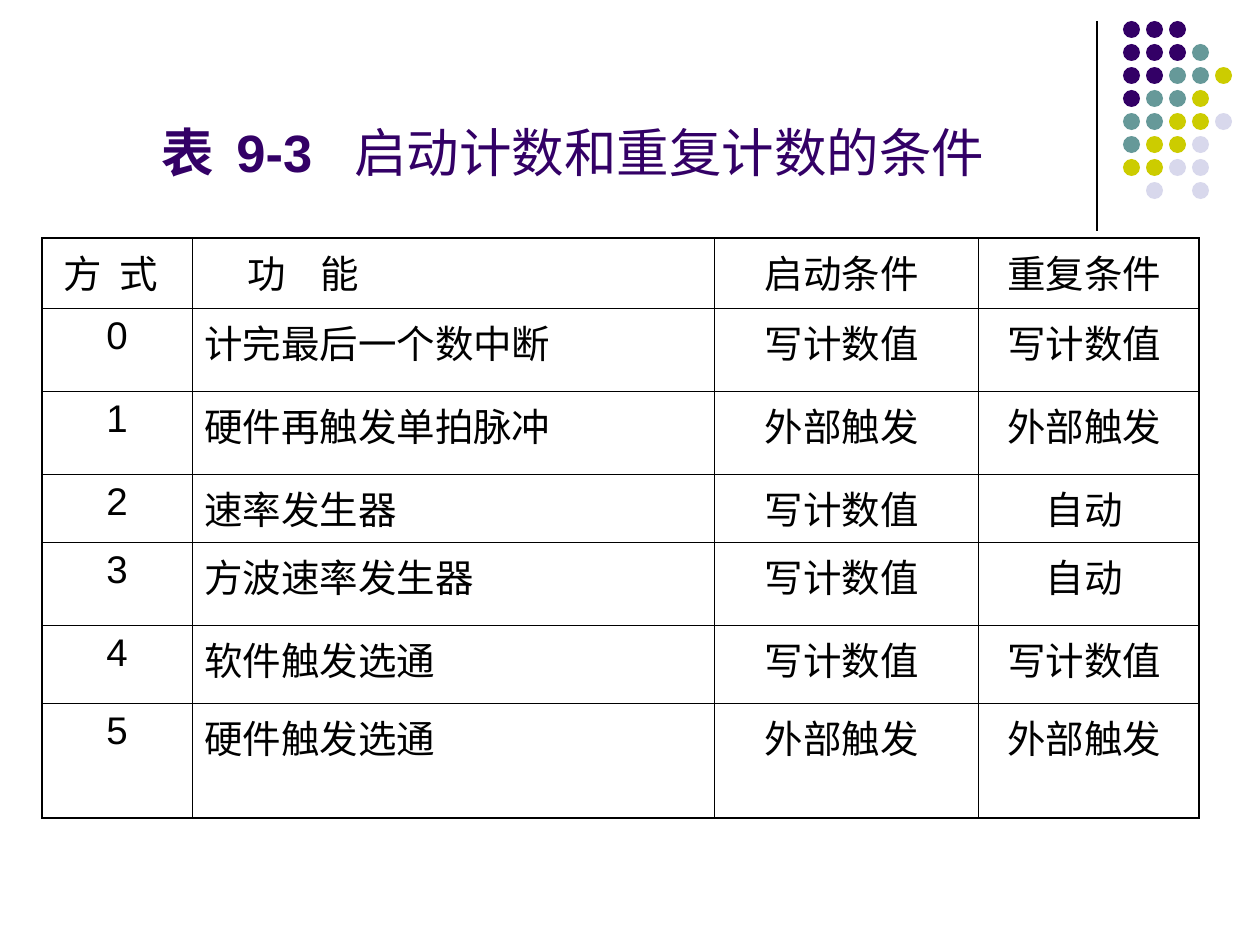
from dataclasses import dataclass

from lxml import etree
from pptx import Presentation
from pptx import util as u
from pptx.dml.color import RGBColor
from pptx.enum import shapes, text
from pptx.oxml import ns

SCALE = u.Inches(1) / 126


@dataclass(frozen=True)
class Theme:
    """Colours, fonts, type sizes and line widths of the deck."""

    ink: str = "000000"
    purple: str = "330066"
    teal: str = "669999"
    olive: str = "CCCC00"
    lilac: str = "D8D8EC"
    latin: str = "Arial"
    chinese: str = "Noto Sans CJK SC"
    title_size: int = 30
    table_size: int = 22
    space_before: float = 5.5
    rule: float = 0.75
    inner_border: float = 0.45
    outer_border: float = 1.08


THEME = Theme()
DOT_ROWS = ["PPP", "PPPT", "PPTTO", "PTTO", "TTOOL", "TOOL", "OOLL", " L L"]
DOT_COLOURS = {"P": THEME.purple, "T": THEME.teal, "O": THEME.olive, "L": THEME.lilac}
COLUMN_WIDTHS = [150, 522, 264, 221]
ROW_HEIGHTS = [70, 83, 83, 68, 83, 78, 115]
HEADERS = ["方\t式", "功\t能", "启动条件 ", "重复条件 "]
HEADER_LAYOUT = [(21, 56), (56, 73)]
MODES = [
    ("计完最后一个数中断", "写计数值 ", "写计数值 "),
    ("硬件再触发单拍脉冲", "外部触发 ", "外部触发 "),
    ("速率发生器", "写计数值 ", "自动 "),
    ("方波速率发生器", "写计数值 ", "自动 "),
    ("软件触发选通", "写计数值 ", "写计数值 "),
    ("硬件触发选通", "外部触发 ", "外部触发 "),
]


def px(length):
    """Turn pixels into EMU."""
    return u.Emu(round(length * SCALE))


def add_child(parent, tag, **attributes):
    """Append a DrawingML element with the given attributes."""
    return etree.SubElement(parent, ns.qn(tag), attributes)


def set_tabs(para, stops):
    """Give a paragraph left tab stops, in pixels."""
    tabs = etree.Element(ns.qn("a:tabLst"))
    for stop in stops:
        add_child(tabs, "a:tab", pos=str(px(stop)), algn="l")
    properties = para._p.get_or_add_pPr()
    defaults = properties.find(ns.qn("a:defRPr"))
    defaults.addprevious(tabs)


def style_para(para, size, colour):
    """Set the size, colour and both typefaces of a paragraph."""
    para.font.size = u.Pt(size)
    para.font.color.rgb = RGBColor.from_string(colour)
    para.font.name = THEME.latin
    defaults = para._p.pPr.find(ns.qn("a:defRPr"))
    add_child(defaults, "a:ea", typeface=THEME.chinese)


def draw_ornament(page, left, top):
    """Draw the vertical rule and the triangle of dots beside it."""
    rule = page.shapes.add_connector(
        shapes.MSO_CONNECTOR.STRAIGHT, px(left), px(top), px(left), px(top + 210)
    )
    rule.line.color.rgb = RGBColor.from_string(THEME.ink)
    rule.line.width = u.Pt(THEME.rule)
    add_child(rule._element.spPr, "a:effectLst")
    dots = page.shapes.add_group_shape()
    pitch, size = 23, 17
    for row, codes in enumerate(DOT_ROWS):
        for column, code in enumerate(codes):
            if code not in DOT_COLOURS:
                continue
            dot = dots.shapes.add_shape(
                shapes.MSO_SHAPE.OVAL,
                px(left + 26 + column * pitch),
                px(top + row * pitch),
                px(size),
                px(size),
            )
            dot.shadow.inherit = False
            dot.fill.solid()
            dot.fill.fore_color.rgb = RGBColor.from_string(DOT_COLOURS[code])
            dot.line.fill.background()


def draw_title(page, left, top, width, height):
    """Write the table's number and caption."""
    box = page.shapes.add_textbox(px(left), px(top), px(width), px(height))
    frame = box.text_frame
    frame.word_wrap = True
    frame.vertical_anchor = text.MSO_ANCHOR.BOTTOM
    para = frame.paragraphs[0]
    style_para(para, THEME.title_size, THEME.purple)
    set_tabs(para, [75, 193])
    for words, bold in (("表\t9-3\t", True), ("启动计数和重复计数的条件", False)):
        span = para.add_run()
        span.text = words
        span.font.bold = bold


def border_cell(cell, outer_sides):
    """Draw thick borders on the outer sides and thin ones elsewhere."""
    properties = cell._tc.get_or_add_tcPr()
    for side in "LRTB":
        width = THEME.outer_border if side in outer_sides else THEME.inner_border
        line = add_child(properties, f"a:ln{side}", w=str(u.Pt(width)))
        fill = add_child(line, "a:solidFill")
        add_child(fill, "a:srgbClr", val=THEME.ink)


def draw_table(page, left, top):
    """Build the table of counting modes and their conditions."""
    rows = [HEADERS] + [(str(mode), *words) for mode, words in enumerate(MODES)]
    frame = page.shapes.add_table(
        len(rows), len(HEADERS), px(left), px(top),
        px(sum(COLUMN_WIDTHS)), px(sum(ROW_HEIGHTS)),
    )
    table = frame.table
    table.first_row = table.horz_banding = False
    for column, width in zip(table.columns, COLUMN_WIDTHS):
        column.width = px(width)
    for row, height in zip(table.rows, ROW_HEIGHTS):
        row.height = px(height)
    last_row, last_column = len(rows) - 1, len(HEADERS) - 1
    for r, words in enumerate(rows):
        for c, word in enumerate(words):
            cell = table.cell(r, c)
            edges = {"T": r == 0, "B": r == last_row, "L": c == 0, "R": c == last_column}
            border_cell(cell, [side for side, outer in edges.items() if outer])
            cell.fill.background()
            cell.text = word
            para = cell.text_frame.paragraphs[0]
            para.space_before = u.Pt(THEME.space_before)
            style_para(para, THEME.table_size, THEME.ink)
            if r == 0 and c < len(HEADER_LAYOUT):
                margin, stop = HEADER_LAYOUT[c]
                cell.margin_left = px(margin)
                set_tabs(para, [stop])
            elif c != 1:
                para.alignment = text.PP_ALIGN.CENTER


def main():
    """Build and save the one-slide deck."""
    deck = Presentation()
    deck.slide_width, deck.slide_height = px(1260), px(945)
    page = deck.slides.add_slide(deck.slide_layouts[6])
    draw_ornament(page, 1097, 21)
    draw_title(page, 149, 101, 1074, 88)
    draw_table(page, 42, 238)
    deck.save("out.pptx")


if __name__ == "__main__":
    main()
